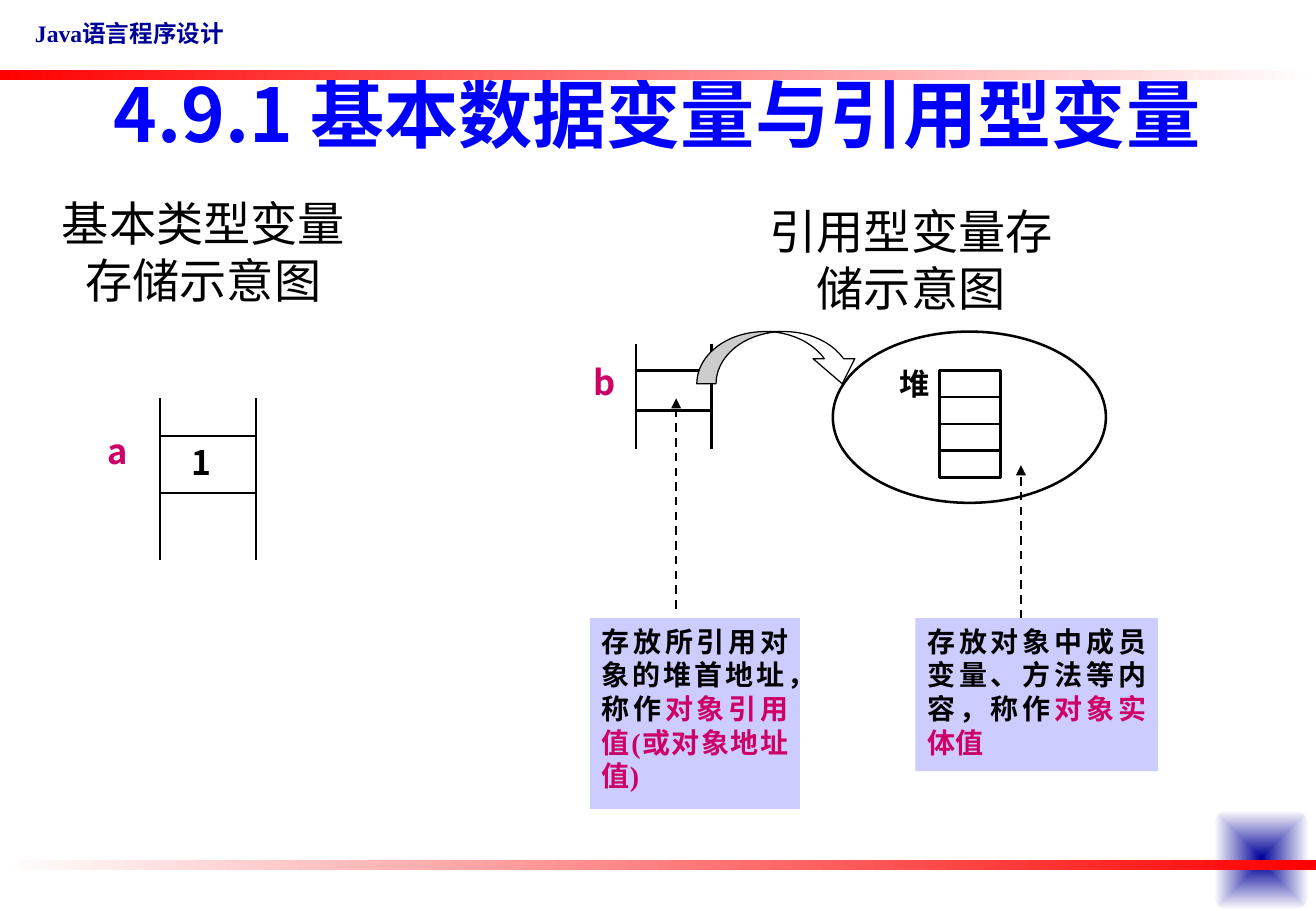
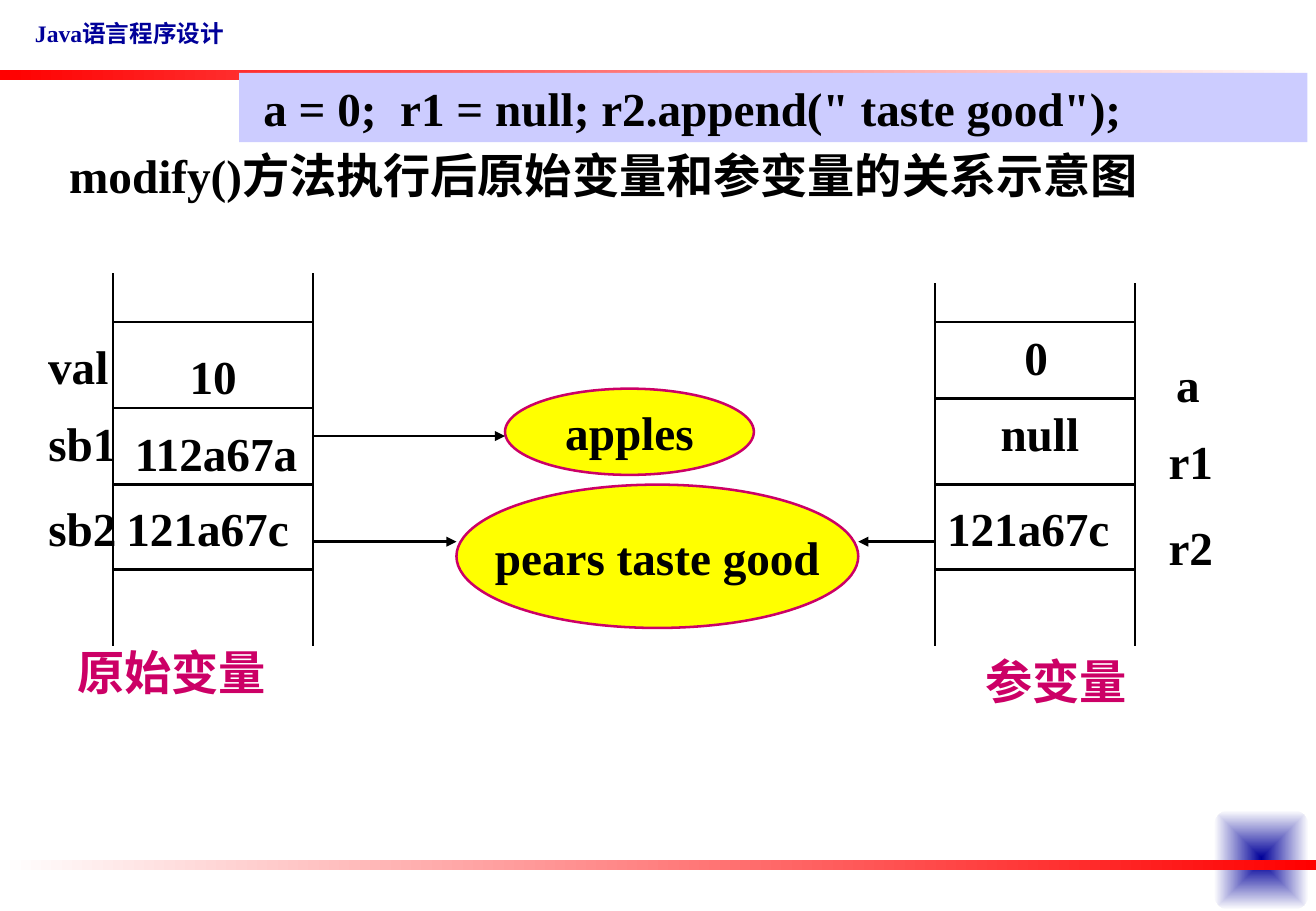
from dataclasses import dataclass

from lxml.etree import SubElement
from pptx import Presentation
from pptx.dml.color import RGBColor
from pptx.enum.dml import MSO_LINE
from pptx.enum.shapes import MSO_CONNECTOR, MSO_SHAPE
from pptx.enum.text import MSO_ANCHOR, MSO_AUTO_SIZE, PP_ALIGN
from pptx.oxml.ns import qn
from pptx.util import Inches, Pt

COLORS = {
    "black": "000000",
    "white": "FFFFFF",
    "navy": "000099",
    "red": "FF0000",
    "title": "0000FF",
    "accent": "CC0066",
    "note": "CCCCFF",
    "object": "FFFF00",
}
SERIF = "Times New Roman"
SANS = "Noto Sans CJK SC"
SLIDE_WIDTH, SLIDE_HEIGHT = 10.84, 7.5
TITLE_ONLY = 5


@dataclass(frozen=True)
class Box:
    left: float
    top: float
    width: float
    height: float

    def lengths(self) -> tuple:
        return tuple(Inches(v) for v in (self.left, self.top, self.width, self.height))


@dataclass(frozen=True)
class Style:
    size: float = 28
    color: str = "black"
    bold: bool = True
    font: str = SERIF
    align: PP_ALIGN = PP_ALIGN.CENTER
    anchor: MSO_ANCHOR = MSO_ANCHOR.TOP
    wrap: bool = False
    spacing: float = 1.0
    indent: float = 0.1


@dataclass(frozen=True)
class Label:
    text: str
    box: Box
    style: Style = Style()


@dataclass(frozen=True)
class Memory:
    left: float
    right: float
    top: float
    bottom: float
    rows: tuple


@dataclass(frozen=True)
class Arrow:
    start: tuple
    end: tuple
    dashed: bool = False


@dataclass(frozen=True)
class Note:
    text: str
    term: str
    box: Box


@dataclass(frozen=True)
class HeapObject:
    text: str
    box: Box


HEADER = Style(14, "navy", align=PP_ALIGN.LEFT)
CAPTION = Style(bold=False, wrap=True)
VARIABLE = Style(20.4, "accent", font=SANS, align=PP_ALIGN.LEFT, wrap=True, spacing=0.9)
VALUE = Style(20, font=SANS, align=PP_ALIGN.LEFT, wrap=True)
HEAP = Style(18, align=PP_ALIGN.LEFT, wrap=True)
NOTE = Style(16.6, align=PP_ALIGN.JUSTIFY, wrap=True)
GROUP = Style(color="accent")
OBJECT = Style(anchor=MSO_ANCHOR.MIDDLE)
CODE = Style(align=PP_ALIGN.LEFT, wrap=True, indent=0.2)
TITLE = Style(44, "title", font=SANS, anchor=MSO_ANCHOR.MIDDLE, wrap=True)
HEADING = Style(align=PP_ALIGN.LEFT, anchor=MSO_ANCHOR.MIDDLE, wrap=True)


def rgb(name: str) -> RGBColor:
    return RGBColor.from_string(COLORS[name])


def write(shape, text: str, style: Style, term: str = "") -> None:
    frame = shape.text_frame
    frame.auto_size = MSO_AUTO_SIZE.NONE
    frame.word_wrap = style.wrap
    frame.vertical_anchor = style.anchor
    frame.margin_left = Inches(style.indent)
    paragraph = frame.paragraphs[0]
    paragraph.alignment = style.align
    paragraph.line_spacing = style.spacing
    font = paragraph.font
    font.name, font.size, font.bold = style.font, Pt(style.size), style.bold
    font.color.rgb = rgb(style.color)
    paragraph.add_run().text = text
    if term:
        emphasis = paragraph.add_run()
        emphasis.text = term
        emphasis.font.color.rgb = rgb("accent")


def add_label(slide, label: Label) -> None:
    write(slide.shapes.add_textbox(*label.box.lengths()), label.text, label.style)


def add_figure(slide, preset: MSO_SHAPE, box: Box, fill: str, line: str = "", weight: float = 1.5):
    figure = slide.shapes.add_shape(preset, *box.lengths())
    figure.shadow.inherit = False
    figure.fill.solid()
    figure.fill.fore_color.rgb = rgb(fill)
    if line:
        figure.line.color.rgb = rgb(line)
        figure.line.width = Pt(weight)
    else:
        figure.line.fill.background()
    return figure


def add_gradient(slide, preset: MSO_SHAPE, box: Box, first: str, last: str):
    figure = add_figure(slide, preset, box, first)
    figure.fill.gradient()
    figure.fill.gradient_angle = 0
    for stop, color in zip(figure.fill.gradient_stops, (first, last)):
        stop.color.rgb = rgb(color)
    return figure


def add_line(slide, start: tuple, end: tuple, weight: float = 1.5):
    points = (Inches(v) for v in (*start, *end))
    line = slide.shapes.add_connector(MSO_CONNECTOR.STRAIGHT, *points)
    line.line.color.rgb = rgb("black")
    line.line.width = Pt(weight)
    SubElement(line._element.spPr, qn("a:effectLst"))
    return line


def add_arrow(slide, arrow: Arrow) -> None:
    line = add_line(slide, arrow.start, arrow.end, 1.25 if arrow.dashed else 1.5)
    if arrow.dashed:
        line.line.dash_style = MSO_LINE.DASH
    outline = line._element.spPr.find(qn("a:ln"))
    SubElement(outline, qn("a:tailEnd"), {"type": "triangle"})


def add_memory(slide, memory: Memory) -> None:
    for x in (memory.left, memory.right):
        add_line(slide, (x, memory.top), (x, memory.bottom))
    for y in memory.rows:
        add_line(slide, (memory.left, y), (memory.right, y))


def add_note(slide, note: Note) -> None:
    panel = add_figure(slide, MSO_SHAPE.RECTANGLE, note.box, "note")
    write(panel, note.text, NOTE, note.term)


def add_object(slide, heap_object: HeapObject) -> None:
    oval = add_figure(slide, MSO_SHAPE.OVAL, heap_object.box, "object", "accent")
    write(oval, heap_object.text, OBJECT)


def add_corner(slide) -> None:
    corner = add_gradient(
        slide, MSO_SHAPE.ROUNDED_RECTANGLE, Box(10, 6.67, 0.78, 0.82), "navy", "white"
    )
    corner.adjustments[0] = 0.17
    gradient = corner._element.spPr.find(qn("a:gradFill"))
    gradient.remove(gradient.find(qn("a:lin")))
    radial = SubElement(gradient, qn("a:path"), {"path": "rect"})
    SubElement(radial, qn("a:fillToRect"), dict.fromkeys("ltrb", "50000"))


def add_base(deck, title: str, box: Box, style: Style):
    slide = deck.slides.add_slide(deck.slide_layouts[TITLE_ONLY])
    heading = slide.shapes.title
    heading.left, heading.top, heading.width, heading.height = box.lengths()
    write(heading, title, style)
    add_corner(slide)
    add_label(slide, Label("Java语言程序设计", Box(0.19, 0.11, 2, 0.34), HEADER))
    for top, first, last in ((0.58, "red", "white"), (7.08, "white", "red")):
        add_gradient(slide, MSO_SHAPE.RECTANGLE, Box(0, top, SLIDE_WIDTH, 0.08), first, last)
    return slide


def add_heap(slide) -> None:
    add_figure(slide, MSO_SHAPE.OVAL, Box(6.86, 2.73, 2.25, 1.41), "white", "black")
    cell_height = 0.22
    for row in range(4):
        cell = Box(7.74, 3.05 + row * cell_height, 0.5, cell_height)
        add_figure(slide, MSO_SHAPE.RECTANGLE, cell, "white", "black")
    reference = add_figure(
        slide, MSO_SHAPE.CURVED_DOWN_ARROW, Box(5.74, 2.73, 1.37, 0.43), "white", "black", 0.75
    )
    for index, ratio in enumerate((0.37, 0.8, 0.48)):
        reference.adjustments[index] = ratio


def build_storage(deck) -> None:
    slide = add_base(deck, "4.9.1 基本数据变量与引用型变量", Box(0.54, 0.3, 9.75, 1.25), TITLE)
    for memory in (
        Memory(1.32, 2.11, 3.28, 4.61, (3.59, 4.06)),
        Memory(5.24, 5.86, 2.83, 3.7, (3.05, 3.38)),
    ):
        add_memory(slide, memory)
    add_heap(slide)
    for label in (
        Label("基本类型变量存储示意图", Box(0.22, 1.55, 2.91, 1.04), CAPTION),
        Label("引用型变量存储示意图", Box(6.05, 1.62, 2.91, 1.04), CAPTION),
        Label("a", Box(0.79, 3.53, 0.37, 0.45), VARIABLE),
        Label("b", Box(4.79, 2.96, 0.37, 0.45), VARIABLE),
        Label("1", Box(1.48, 3.59, 0.37, 0.45), VALUE),
        Label("堆", Box(7.31, 2.96, 0.5, 0.43), HEAP),
    ):
        add_label(slide, label)
    for arrow in (
        Arrow((5.57, 5.01), (5.57, 3.28), True),
        Arrow((8.41, 5.09), (8.41, 3.83), True),
    ):
        add_arrow(slide, arrow)
    for note in (
        Note("存放所引用对象的堆首地址，称作", "对象引用值(或对象地址值)", Box(4.86, 5.09, 1.73, 1.57)),
        Note("存放对象中成员变量、方法等内容，称作", "对象实体值", Box(7.54, 5.09, 2, 1.26)),
    ):
        add_note(slide, note)


def build_modify(deck) -> None:
    slide = add_base(
        deck, "modify()方法执行后原始变量和参变量的关系示意图", Box(0.47, 1.15, 9.4, 0.57), HEADING
    )
    for heap_object in (
        HeapObject("apples", Box(4.16, 3.2, 2.05, 0.71)),
        HeapObject("pears taste good", Box(3.76, 3.99, 3.31, 1.18)),
    ):
        add_object(slide, heap_object)
    for memory in (
        Memory(0.93, 2.58, 2.25, 5.32, (2.65, 3.36, 3.99, 4.69)),
        Memory(7.7, 9.35, 2.33, 5.32, (2.65, 3.28, 3.99, 4.69)),
    ):
        add_memory(slide, memory)
    for arrow in (
        Arrow((2.58, 3.59), (4.16, 3.59)),
        Arrow((2.58, 4.46), (3.76, 4.46)),
        Arrow((7.7, 4.46), (7.07, 4.46)),
    ):
        add_arrow(slide, arrow)
    for text, left, top, width in (
        ("val", 0.3, 2.73, 0.69),
        ("sb1", 0.3, 3.36, 0.76),
        ("sb2", 0.3, 4.06, 0.76),
        ("10", 1.46, 2.81, 0.59),
        ("112a67a", 1, 3.44, 1.56),
        ("121a67c", 0.94, 4.06, 1.54),
        ("0", 8.34, 2.65, 0.39),
        ("null", 8.14, 3.28, 0.85),
        ("121a67c", 7.7, 4.06, 1.54),
        ("a", 9.59, 2.88, 0.39),
        ("r1", 9.53, 3.51, 0.56),
        ("r2", 9.53, 4.22, 0.56),
    ):
        add_label(slide, Label(text, Box(left, top, width, 0.57)))
    add_label(slide, Label("原始变量", Box(0.54, 5.25, 1.75, 0.57), GROUP))
    add_label(slide, Label("参变量", Box(8.02, 5.32, 1.36, 0.57), GROUP))
    statements = add_figure(slide, MSO_SHAPE.RECTANGLE, Box(1.97, 0.6, 8.8, 0.57), "note")
    write(statements, 'a = 0;  r1 = null; r2.append(" taste good");', CODE)


def main() -> None:
    deck = Presentation()
    deck.slide_width, deck.slide_height = Inches(SLIDE_WIDTH), Inches(SLIDE_HEIGHT)
    build_storage(deck)
    build_modify(deck)
    deck.save("out.pptx")


if __name__ == "__main__":
    main()
